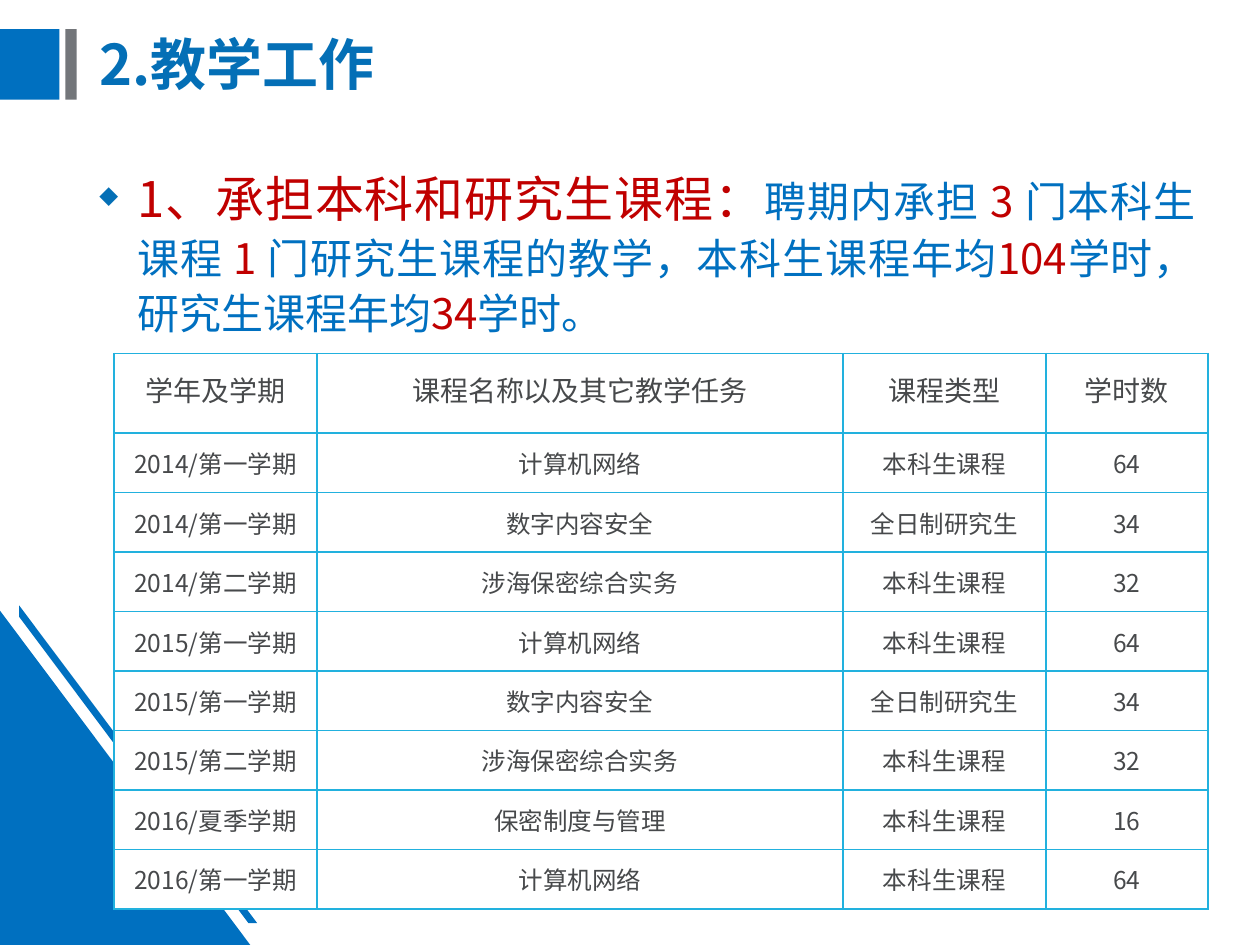
from collections import namedtuple
from dataclasses import dataclass

from lxml.etree import SubElement
from pptx import Presentation
from pptx.dml.color import RGBColor
from pptx.enum.shapes import MSO_SHAPE
from pptx.enum.text import MSO_ANCHOR, PP_ALIGN
from pptx.oxml.ns import qn
from pptx.util import Pt

Box = namedtuple("Box", "left top width height")


@dataclass(frozen=True)
class Theme:
    """Colours, font and type sizes of the slide."""
    font: str = "Noto Sans CJK SC"
    blue: str = "0070C0"
    title_blue: str = "046FB6"
    gray: str = "73767A"
    red: str = "C00000"
    ink: str = "47494B"
    border: str = "22B1DE"
    white: str = "FFFFFF"
    title_size: int = 32
    lead_size: int = 28
    body_size: int = 24
    header_size: int = 16
    cell_size: int = 14


THEME = Theme()

SUMMARY = [
    ("聘期内承担 ", THEME.blue), ("3 ", THEME.red),
    ("门本科生课程 ", THEME.blue), ("1 ", THEME.red),
    ("门研究生课程的教学，本科生课程年均", THEME.blue), ("104", THEME.red),
    ("学时，研究生课程年均", THEME.blue), ("34", THEME.red),
    ("学时。", THEME.blue),
]

HEADERS = ("学年及学期", "课程名称以及其它教学任务", "课程类型", "学时数")
COURSES = {
    "计算机网络": ("本科生课程", "64"),
    "数字内容安全": ("全日制研究生", "34"),
    "涉海保密综合实务": ("本科生课程", "32"),
    "保密制度与管理": ("本科生课程", "16"),
}
SCHEDULE = [
    ("2014/第一学期", "计算机网络"),
    ("2014/第一学期", "数字内容安全"),
    ("2014/第二学期", "涉海保密综合实务"),
    ("2015/第一学期", "计算机网络"),
    ("2015/第一学期", "数字内容安全"),
    ("2015/第二学期", "涉海保密综合实务"),
    ("2016/夏季学期", "保密制度与管理"),
    ("2016/第一学期", "计算机网络"),
]


def add_span(para, text, size, color, bold=False):
    """Append a formatted run to a paragraph."""
    span = para.add_run()
    span.text = text
    span.font.size = Pt(size)
    span.font.bold = bold
    span.font.name = THEME.font
    span.font.color.rgb = RGBColor.from_string(color)
    SubElement(span.font._element, qn("a:ea"), typeface=THEME.font)


def add_text_box(page, box, anchor):
    """Add a wrapping text box and return its text frame."""
    frame = page.shapes.add_textbox(*map(Pt, box)).text_frame
    frame.word_wrap = True
    frame.vertical_anchor = anchor
    return frame


def paint(shape, color):
    """Give a shape a plain fill with no line or shadow."""
    shape.shadow.inherit = False
    shape.fill.solid()
    shape.fill.fore_color.rgb = RGBColor.from_string(color)
    shape.line.fill.background()


def set_bullet(para, character, color, percent, indent):
    """Give a paragraph a hanging coloured bullet."""
    properties = para._p.get_or_add_pPr()
    properties.set("marL", str(Pt(indent)))
    properties.set("indent", str(-Pt(indent)))
    SubElement(SubElement(properties, qn("a:buClr")), qn("a:srgbClr"), val=color)
    SubElement(properties, qn("a:buSzPct"), val=str(percent * 1000))
    SubElement(properties, qn("a:buChar"), char=character)


def set_borders(cell, color, width):
    """Draw all four borders of a cell."""
    properties = cell._tc.get_or_add_tcPr()
    for position, side in enumerate(("lnL", "lnR", "lnT", "lnB")):
        line = SubElement(properties, qn(f"a:{side}"), w=str(Pt(width)))
        properties.insert(position, line)
        SubElement(SubElement(line, qn("a:solidFill")), qn("a:srgbClr"), val=color)


def add_corner(page, box):
    """Draw the blue triangle and its parallel stripe in the corner."""
    triangle = page.shapes.add_shape(
        MSO_SHAPE.RIGHT_TRIANGLE, Pt(box.left), Pt(box.top + 3),
        Pt(box.width - 4), Pt(box.height - 3))
    paint(triangle, THEME.blue)
    left, top = box.left + 11, box.top
    outline = page.shapes.build_freeform(Pt(left), Pt(top))
    outline.add_line_segments(
        [(Pt(left + x), Pt(top + y)) for x, y in ((136, 181.5), (131, 181.5), (0, 6.5))])
    paint(outline.convert_to_shape(), THEME.blue)


def add_heading(page, box):
    """Place the two header bars and the title."""
    for offset, width, color in ((0, 34, THEME.blue), (37.3, 6.5, THEME.gray)):
        bar = page.shapes.add_shape(
            MSO_SHAPE.RECTANGLE, Pt(box.left + offset), Pt(box.top + 9.4),
            Pt(width), Pt(40.3))
        paint(bar, color)
    title_box = Box(box.left + 49.7, box.top, box.width - 49.7, box.height)
    para = add_text_box(page, title_box, MSO_ANCHOR.MIDDLE).paragraphs[0]
    para.line_spacing = 0.9
    add_span(para, "2.教学工作", THEME.title_size, THEME.title_blue, bold=True)


def add_summary(page, box):
    """Write the bulleted teaching summary."""
    para = add_text_box(page, box, MSO_ANCHOR.TOP).paragraphs[0]
    para.alignment = PP_ALIGN.JUSTIFY
    para.line_spacing = 1.1
    para.space_before = Pt(9)
    set_bullet(para, "◆", THEME.title_blue, 50, 21.6)
    add_span(para, "1、承担本科和研究生课程：", THEME.lead_size, THEME.red)
    for text, color in SUMMARY:
        add_span(para, text, THEME.body_size, color)


def fill_cell(cell, text, size, line_spacing):
    """Format one table cell and write its text."""
    cell.fill.solid()
    cell.fill.fore_color.rgb = RGBColor.from_string(THEME.white)
    set_borders(cell, THEME.border, 1)
    cell.vertical_anchor = MSO_ANCHOR.MIDDLE
    cell.margin_left = cell.margin_right = Pt(5)
    cell.margin_top = cell.margin_bottom = 0
    para = cell.text_frame.paragraphs[0]
    para.alignment = PP_ALIGN.CENTER
    para.line_spacing = line_spacing
    add_span(para, text, size, THEME.ink)


def add_course_table(page, box):
    """Build the table of courses by term."""
    rows = [HEADERS] + [(term, course, *COURSES[course]) for term, course in SCHEDULE]
    table = page.shapes.add_table(len(rows), len(HEADERS), *map(Pt, box)).table
    table.first_row = table.horz_banding = False
    shares = (116, 300.5, 116, 92.5)
    for column, share in zip(table.columns, shares):
        column.width = Pt(box.width * share / sum(shares))
    header_height = 45.5
    row_height = (box.height - header_height) / len(SCHEDULE)
    for index, values in enumerate(rows):
        is_header = index == 0
        table.rows[index].height = Pt(header_height if is_header else row_height)
        size = THEME.header_size if is_header else THEME.cell_size
        spacing = Pt(18) if is_header else None
        for cell, text in zip(table.rows[index].cells, values):
            fill_cell(cell, text, size, spacing)


def build_deck():
    """Build and save the one-page deck."""
    deck = Presentation()
    deck.slide_width, deck.slide_height = Pt(720), Pt(540)
    page = deck.slides.add_slide(deck.slide_layouts[6])
    add_corner(page, Box(0, 346, 147, 194))
    add_heading(page, Box(0, 7.2, 690.5, 62.6))
    add_summary(page, Box(49.7, 89.3, 640.8, 414))
    add_course_table(page, Box(65.2, 202, 625, 317.5))
    deck.save("out.pptx")


build_deck()
